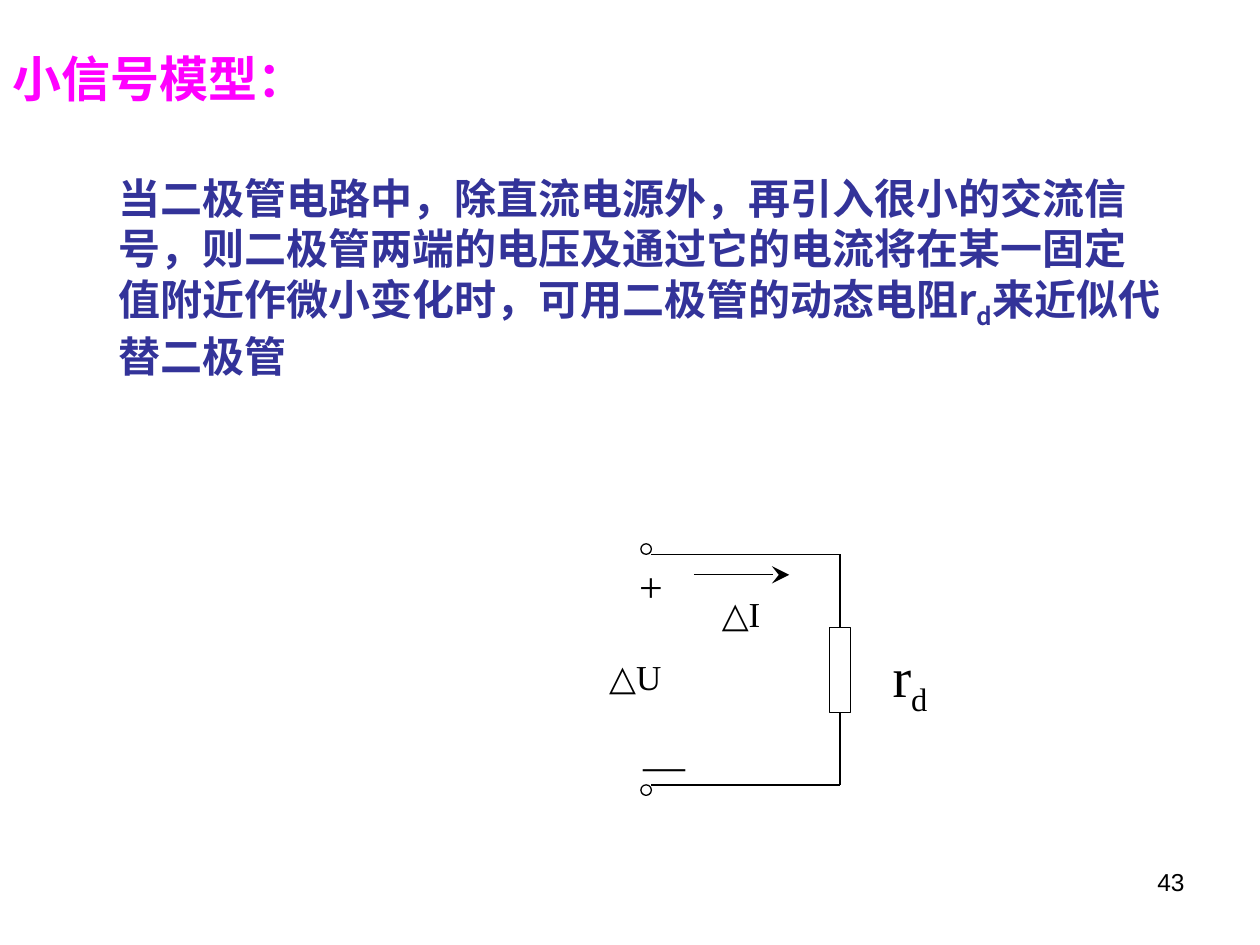
import pptx
import pptx.util
import pptx.dml.color
import pptx.enum.shapes
import pptx.enum.text
import pptx.oxml.ns
import lxml.etree

Pt = pptx.util.Pt
SHAPE = pptx.enum.shapes.MSO_SHAPE
STRAIGHT = pptx.enum.shapes.MSO_CONNECTOR.STRAIGHT
ALIGN = pptx.enum.text.PP_ALIGN
ANCHOR = pptx.enum.text.MSO_ANCHOR
AUTO_SIZE = pptx.enum.text.MSO_AUTO_SIZE

COLORS = {"title": "FF00FF", "body": "333399", "ink": "000000", "paper": "FFFFFF"}
SUBSCRIPT = "-25000"

TITLE = ["小信号模型："]
# Every second piece is a subscript.
EXPLANATION = [
    "当二极管电路中，除直流电源外，再引入很小的交流信号，则二极管两端的电压及"
    "通过它的电流将在某一固定值附近作微小变化时，可用二极管的动态电阻r",
    "d",
    "来近似代替二极管",
]
PAGE_NUMBER = ["43"]

# Pieces, size, left, top, width, height
CIRCUIT_LABELS = [
    (["r", "d"], 32, 499, 363, 42, 51),
    (["△I"], 20, 396.5, 335, 54, 31.5),
    (["+"], 24, 354, 317, 36, 36),
    (["—"], 24, 360.5, 418.5, 30, 36),
    (["△U"], 20, 336, 371, 54, 31.5),
]

RESISTOR = (474, 358.5, 12, 48.5)
TERMINAL_SIZE = 6
TERMINAL_LEFT = 366.25
TOP_RAIL, BOTTOM_RAIL = 316.75, 448.5
CURRENT_ARROW = (396.5, 328.5, 451, 328.5)


def rgb(name):
    return pptx.dml.color.RGBColor.from_string(COLORS[name])


def add_xml(parent, tag, **attributes):
    return lxml.etree.SubElement(parent, pptx.oxml.ns.qn(tag), attributes)


def place(shape, left, top, width, height):
    shape.left, shape.top = Pt(left), Pt(top)
    shape.width, shape.height = Pt(width), Pt(height)


def write(shape, pieces, size, font, color, align=ALIGN.LEFT, bold=False, before=0,
          anchor=ANCHOR.TOP):
    """Fill a shape with one paragraph; every second piece is a subscript."""
    frame = shape.text_frame
    frame.word_wrap = True
    frame.auto_size = AUTO_SIZE.NONE
    frame.vertical_anchor = anchor
    paragraph = frame.paragraphs[0]
    paragraph.alignment = align
    paragraph.space_before = Pt(before)
    paragraph.font.size = Pt(size)
    paragraph.font.name = font
    paragraph.font.bold = bold
    paragraph.font.color.rgb = rgb(color)
    for index, piece in enumerate(pieces):
        run = paragraph.add_run()
        run.text = piece
        if index % 2:
            run.font._element.set("baseline", SUBSCRIPT)
    return paragraph


def add_outlined(circuit, kind, left, top, width, height):
    part = circuit.shapes.add_shape(kind, Pt(left), Pt(top), Pt(width), Pt(height))
    part.shadow.inherit = False
    part.fill.solid()
    part.fill.fore_color.rgb = rgb("paper")
    part.line.color.rgb = rgb("ink")
    part.line.width = Pt(0.75)
    return part


def add_wire(circuit, x1, y1, x2, y2):
    wire = circuit.shapes.add_connector(STRAIGHT, Pt(x1), Pt(y1), Pt(x2), Pt(y2))
    wire.line.color.rgb = rgb("ink")
    wire.line.width = Pt(0.75)
    add_xml(wire._element.spPr, "a:effectLst")
    return wire


def add_circuit(slide):
    circuit = slide.shapes.add_group_shape()
    left, top, width, height = RESISTOR
    resistor = add_outlined(circuit, SHAPE.RECTANGLE, *RESISTOR)
    branch = left + width / 2
    rail_start = TERMINAL_LEFT + TERMINAL_SIZE

    # Rail height, resistor edge, resistor connection site, terminal top
    for rail, edge, site, terminal_top in (
        (TOP_RAIL, top, 0, TOP_RAIL - TERMINAL_SIZE),
        (BOTTOM_RAIL, top + height, 2, BOTTOM_RAIL),
    ):
        lead = add_wire(circuit, branch, edge, branch, rail)
        lead.begin_connect(resistor, site)
        add_wire(circuit, branch, rail, rail_start, rail)
        add_outlined(circuit, SHAPE.OVAL, TERMINAL_LEFT, terminal_top,
                     TERMINAL_SIZE, TERMINAL_SIZE)

    current = add_wire(circuit, *CURRENT_ARROW)
    add_xml(current.line._get_or_add_ln(), "a:tailEnd", type="stealth", w="lg", len="lg")

    for pieces, size, *box in CIRCUIT_LABELS:
        label = circuit.shapes.add_textbox(*map(Pt, box))
        write(label, pieces, size, "Times New Roman", "ink", ALIGN.CENTER,
              before=size * 0.625)


def main():
    deck = pptx.Presentation()
    deck.slide_width, deck.slide_height = Pt(720), Pt(540)
    slide = deck.slides.add_slide(deck.slide_layouts[1])

    title, explanation = slide.placeholders
    place(title, 0, 18, 208, 52.5)
    write(title, TITLE, 28, "Arial", "title", bold=True, anchor=ANCHOR.MIDDLE)

    place(explanation, 60.5, 95, 612, 126.5)
    paragraph = write(explanation, EXPLANATION, 24, "Noto Sans CJK SC", "body", bold=True)
    properties = paragraph._p.get_or_add_pPr()
    properties.set("marL", "0")
    properties.set("indent", "0")
    bullet = add_xml(properties, "a:buNone")
    properties.find(pptx.oxml.ns.qn("a:defRPr")).addprevious(bullet)

    add_circuit(slide)

    page_number = slide.shapes.add_textbox(Pt(516), Pt(492), Pt(168), Pt(37.5))
    write(page_number, PAGE_NUMBER, 14, "Arial", "ink", ALIGN.RIGHT)

    deck.save("out.pptx")


if __name__ == "__main__":
    main()
